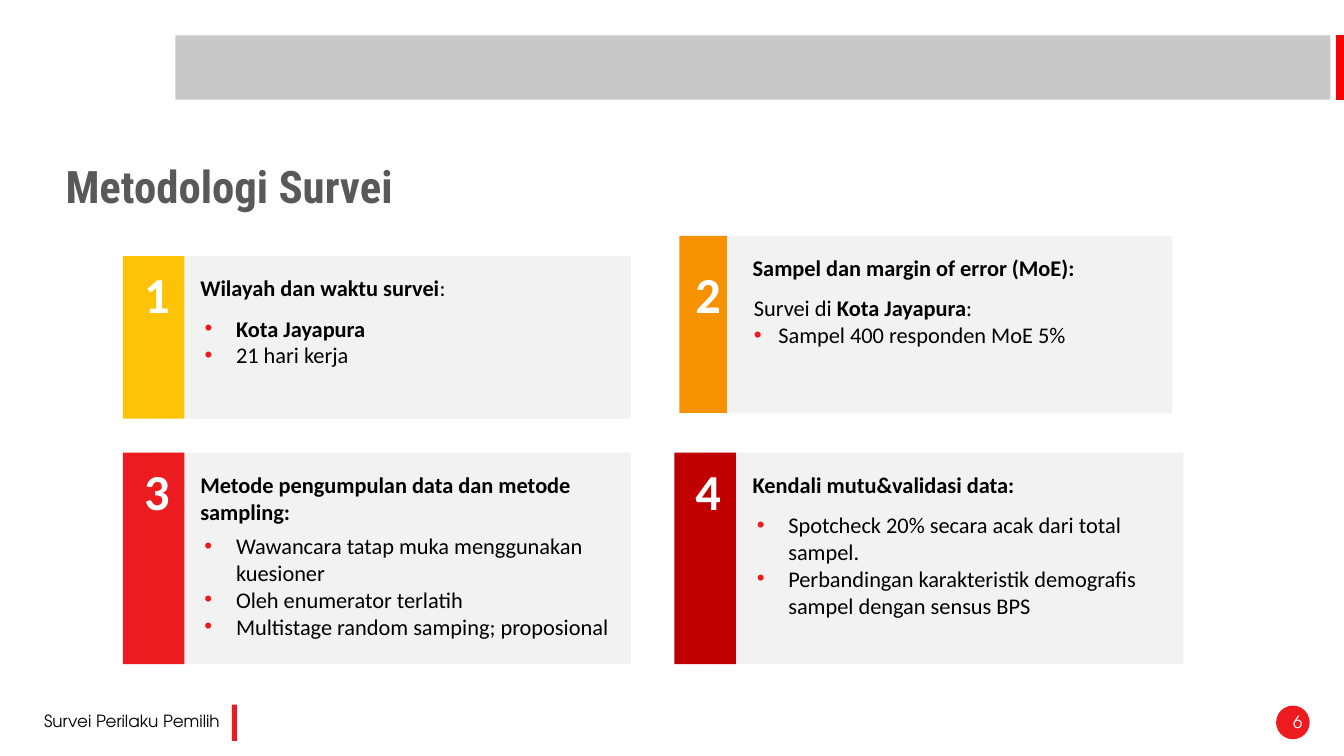
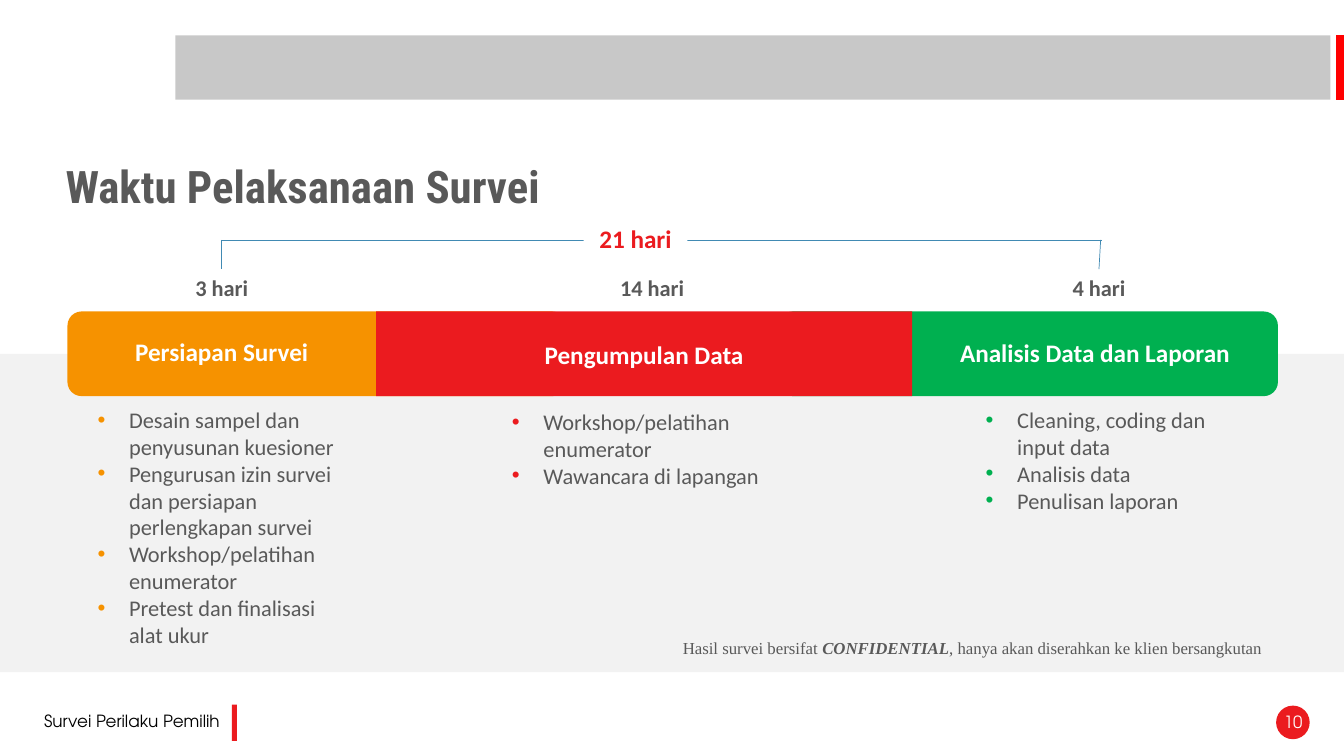
from itertools import pairwise

from lxml.etree import SubElement
from pptx import Presentation
from pptx.dml.color import RGBColor
from pptx.enum.shapes import MSO_CONNECTOR, MSO_SHAPE as SHAPE
from pptx.enum.text import MSO_ANCHOR as ANCHOR, MSO_AUTO_SIZE, PP_ALIGN as ALIGN
from pptx.oxml.ns import qn
from pptx.util import Pt

WHITE = RGBColor(0xFF, 0xFF, 0xFF)
BLACK = RGBColor(0, 0, 0)
GRAY_TEXT = RGBColor(0x59, 0x59, 0x59)
GRAY_BAND = RGBColor(0xC8, 0xC8, 0xC8)
GRAY_PANEL = RGBColor(0xF2, 0xF2, 0xF2)
RED = RGBColor(0xEB, 0x1B, 0x1F)
PURE_RED = RGBColor(0xFF, 0, 0)
DARK_RED = RGBColor(0xC0, 0, 0)
YELLOW = RGBColor(0xFE, 0xC3, 0x06)
ORANGE = RGBColor(0xF6, 0x92, 0)
GREEN = RGBColor(0, 0xB0, 0x50)
BLUE = RGBColor(0x41, 0x8A, 0xB3)

TITLE_FONT, FOOTER_FONT = "Roboto Condensed", "TeX Gyre Adventor"
BODY_FONT, NOTE_FONT = "Calibri", "Times New Roman"
FOOTER = "Survei Perilaku Pemilih"
INDENT = 22.5

# A paragraph is a string or a list of (text, style) runs; b is bold, i is italic.
CARDS = [
    dict(color=YELLOW, panel=(108.7, 183, 342, 116), tab=(87.8, 44),
         number=(95.8, 190), text_left=136,
         heading=[("Wilayah dan waktu survei", "b"), (":", "")],
         body=dict(left=139, width=290),
         items=[[("Kota Jayapura", "b")], "21 hari kerja"]),
    dict(color=ORANGE, panel=(495.4, 168.5, 342, 126.5), tab=(485.3, 34),
         number=(489.6, 190), text_left=530.6,
         heading=[("Sampel dan margin of error (MoE):", "b")],
         body=dict(left=531.4, width=302, lead=1, indent=17.5),
         items=[[("Survei di ", ""), ("Kota Jayapura", "b"), (":", "")],
                "Sampel 400 responden MoE 5%"]),
    dict(color=RED, panel=(108.7, 323.3, 342, 151.2), tab=(87.8, 44),
         number=(95.8, 330.5), text_left=136,
         heading=[("Metode pengumpulan data dan metode sampling:", "b")],
         body=dict(left=139, width=307.5, drop=15),
         items=["Wawancara tatap muka menggunakan kuesioner",
                "Oleh enumerator terlatih",
                "Multistage random samping; proposional"]),
    dict(color=DARK_RED, panel=(503.3, 323.3, 342, 151.2), tab=(481.7, 44),
         number=(489.6, 330.5), text_left=530.6,
         heading=[("Kendali mutu&validasi data:", "b")],
         body=dict(left=533.5, width=290),
         items=["Spotcheck 20% secara acak dari total sampel.",
                "Perbandingan karakteristik demografis sampel dengan sensus BPS"]),
]

PHASE_EDGES = [48.2, 268.6, 651.6, 912.8]
PHASE_TOP, PHASE_HEIGHT, ROUNDED_WIDTH = 222.5, 60.5, 356.4
PHASES = [
    dict(name="Persiapan Survei", days="3 hari", color=ORANGE, drop=0,
         days_center=158.4, items_left=62.6, items_top=286.5,
         items=["Desain sampel dan penyusunan kuesioner",
                "Pengurusan izin survei dan persiapan perlengkapan survei",
                "Workshop/pelatihan enumerator",
                "Pretest dan finalisasi alat ukur"]),
    dict(name="Pengumpulan Data", days="14 hari", color=RED, drop=1.5,
         days_center=465.8, items_left=358.6, items_top=288,
         items=["Workshop/pelatihan enumerator", "Wawancara di lapangan"]),
    dict(name="Analisis Data dan Laporan", days="4 hari", color=GREEN, drop=0.7,
         days_center=785, items_left=697, items_top=286.5,
         items=["Cleaning, coding dan input data", "Analisis data",
                "Penulisan laporan"]),
]
TOTAL_DAYS = "21 hari"
NOTE = [("Hasil survei bersifat ", ""), ("CONFIDENTIAL", "bi"),
        (", hanya akan diserahkan ke klien bersangkutan", "")]


def add_bullet(paragraph, color, indent):
    properties = paragraph._p.get_or_add_pPr()
    properties.set("marL", str(Pt(indent)))
    properties.set("indent", str(-Pt(indent)))
    bullet_color = SubElement(properties, qn("a:buClr"))
    SubElement(bullet_color, qn("a:srgbClr"), val=str(color))
    SubElement(properties, qn("a:buFont"), typeface="Arial")
    SubElement(properties, qn("a:buChar"), char="•")


def write_text(shape, paragraphs, size=16, font=BODY_FONT, color=BLACK, style="",
               align=ALIGN.LEFT, anchor=ANCHOR.TOP, spacing=None,
               bullet=None, indent=INDENT, lead=0):
    """Fill a shape with text; the first `lead` paragraphs get no bullet."""
    frame = shape.text_frame
    frame.word_wrap = True
    frame.auto_size = MSO_AUTO_SIZE.NONE
    frame.vertical_anchor = anchor
    for index, content in enumerate(paragraphs):
        paragraph = frame.add_paragraph() if index else frame.paragraphs[0]
        paragraph.alignment = align
        if spacing:
            paragraph.line_spacing = spacing
        if bullet is not None and index >= lead:
            add_bullet(paragraph, bullet, indent)
        runs = [(content, style)] if isinstance(content, str) else content
        for text, run_style in runs:
            run = paragraph.add_run()
            run.text = text
            run.font.size = Pt(size)
            run.font.name = font
            run.font.color.rgb = color
            run.font.bold = "b" in run_style
            run.font.italic = "i" in run_style


def add_text(slide, box, paragraphs, **text_format):
    shape = slide.shapes.add_textbox(*map(Pt, box))
    write_text(shape, paragraphs, **text_format)
    return shape


def add_block(slide, box, color, kind=SHAPE.RECTANGLE):
    shape = slide.shapes.add_shape(kind, *map(Pt, box))
    shape.shadow.inherit = False
    shape.fill.solid()
    shape.fill.fore_color.rgb = color
    shape.line.fill.background()
    return shape


def add_line(slide, start, end, color, width):
    line = slide.shapes.add_connector(MSO_CONNECTOR.STRAIGHT, *map(Pt, start + end))
    line.line.color.rgb = color
    line.line.width = Pt(width)
    SubElement(line.element.spPr, qn("a:effectLst"))
    return line


def move_band_to_layout(slide):
    """Draw the top band once and let the layout carry it."""
    band = add_block(slide, (125.3, 25.2, 825.1, 46), GRAY_BAND)
    edge = add_line(slide, (957.6, 25.2), (957.6, 71.2), PURE_RED, 6)
    for number, shape in enumerate((band, edge), start=101):
        shape.element.xpath(".//p:cNvPr")[0].set("id", str(number))
        slide.slide_layout.shapes.element.append(shape.element)


def start_slide(presentation, title):
    slide = presentation.slides.add_slide(presentation.slide_layouts[5])
    heading = slide.shapes.title
    heading.left, heading.top, heading.width, heading.height = map(
        Pt, (39.6, 102.2, 482.4, 66.2))
    write_text(heading, [title], size=32, font=TITLE_FONT, color=GRAY_TEXT,
               style="b", anchor=ANCHOR.MIDDLE, spacing=0.9)
    return slide


def add_footer(slide, number):
    add_block(slide, (911.5, 504, 24, 24), RED, SHAPE.OVAL)
    add_text(slide, (809.3, 504.7, 128.2, 28.8), [number], size=12,
             font=FOOTER_FONT, color=WHITE, align=ALIGN.RIGHT)
    add_block(slide, (165.6, 503.3, 3.6, 26), RED)
    add_text(slide, (24.5, 504, 151.2, 28.8), [FOOTER], size=12, font=FOOTER_FONT)


def add_card(slide, number, card):
    top, height = card["panel"][1], card["panel"][3]
    tab_left, tab_width = card["tab"]
    body = card["body"]
    add_block(slide, card["panel"], GRAY_PANEL)
    add_block(slide, (tab_left, top, tab_width, height), card["color"])
    add_text(slide, (*card["number"], 28, 44.6), [str(number)], size=36, color=WHITE,
             style="b", align=ALIGN.CENTER, anchor=ANCHOR.MIDDLE, spacing=0.9)
    add_text(slide, (card["text_left"], top + 9.5, 297, 27), [card["heading"]])
    body_top = top + 38.2 + body.get("drop", 0)
    add_text(slide, (body["left"], body_top, body["width"], 84), card["items"],
             bullet=RED, indent=body.get("indent", INDENT), lead=body.get("lead", 0))


def add_timeline(slide):
    add_block(slide, (0, 252.7, 960, 227.5), GRAY_PANEL)

    # Rounded ends lie beneath the square middle phase
    left, middle_left, middle_right, right = PHASE_EDGES
    for x, width, phase, kind in (
            (left, ROUNDED_WIDTH, PHASES[0], SHAPE.ROUNDED_RECTANGLE),
            (right - ROUNDED_WIDTH, ROUNDED_WIDTH, PHASES[2], SHAPE.ROUNDED_RECTANGLE),
            (middle_left, middle_right - middle_left, PHASES[1], SHAPE.RECTANGLE)):
        add_block(slide, (x, PHASE_TOP, width, PHASE_HEIGHT), phase["color"], kind)

    # Phase names, durations and tasks
    days_boxes = []
    for phase, (start, end) in zip(PHASES, pairwise(PHASE_EDGES)):
        add_text(slide, (start, PHASE_TOP + phase["drop"], end - start, PHASE_HEIGHT),
                 [phase["name"]], size=18, color=WHITE, style="b",
                 align=ALIGN.CENTER, anchor=ANCHOR.MIDDLE, spacing=0.9)
        days_boxes.append(add_text(
            slide, (phase["days_center"] - 42.5, 192.2, 85, 26.6), [phase["days"]],
            color=GRAY_TEXT, style="b", align=ALIGN.CENTER))
        add_text(slide, (phase["items_left"], phase["items_top"], 192, 180),
                 phase["items"], color=GRAY_TEXT, bullet=phase["color"])

    # Bracket over the whole period
    beam_y, beam_left, beam_right = 171.4, 158.4, 787.2
    for x, days_box in ((beam_left, days_boxes[0]), (786.2, days_boxes[-1])):
        rung = add_line(slide, (x, beam_y), (x, 192.2), BLUE, 0.5)
        rung.end_connect(days_box, 0)
    add_line(slide, (beam_left, beam_y), (beam_right, beam_y), BLUE, 0.5)
    total = add_block(slide, (416.9, 156.2, 74.2, 28.8), WHITE)
    write_text(total, [TOTAL_DAYS], size=18, color=RED, style="b", align=ALIGN.CENTER)

    add_text(slide, (467.3, 452.2, 441.4, 21.8), [NOTE], size=12, font=NOTE_FONT,
             color=GRAY_TEXT, align=ALIGN.RIGHT)


def main():
    presentation = Presentation()
    presentation.slide_width, presentation.slide_height = Pt(960), Pt(540)

    # Methodology
    slide = start_slide(presentation, "Metodologi Survei")
    move_band_to_layout(slide)
    for number, card in enumerate(CARDS, start=1):
        add_card(slide, number, card)
    add_footer(slide, "6")

    # Schedule
    slide = start_slide(presentation, "Waktu Pelaksanaan Survei")
    add_timeline(slide)
    add_footer(slide, "10")

    presentation.save("out.pptx")


if __name__ == "__main__":
    main()
